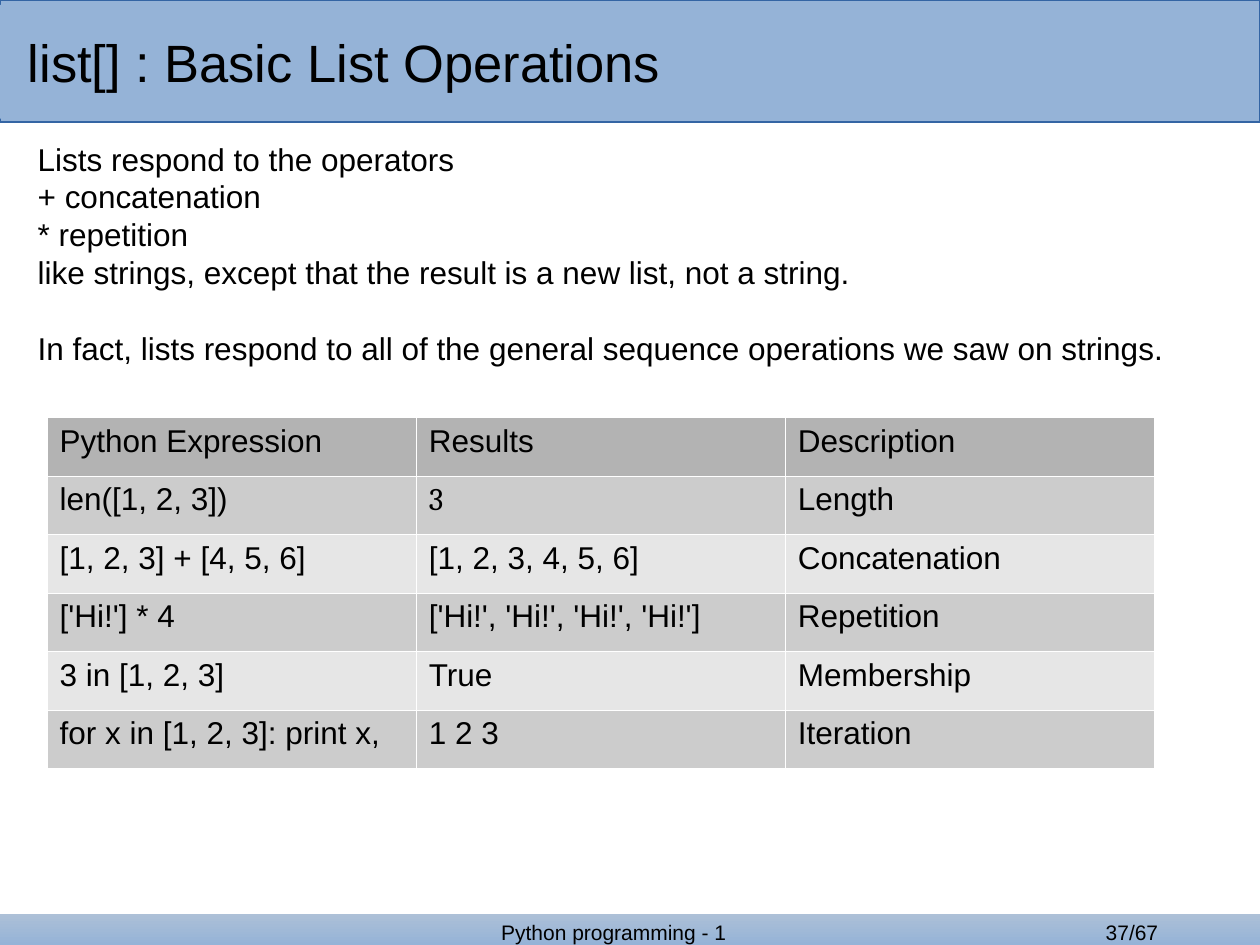
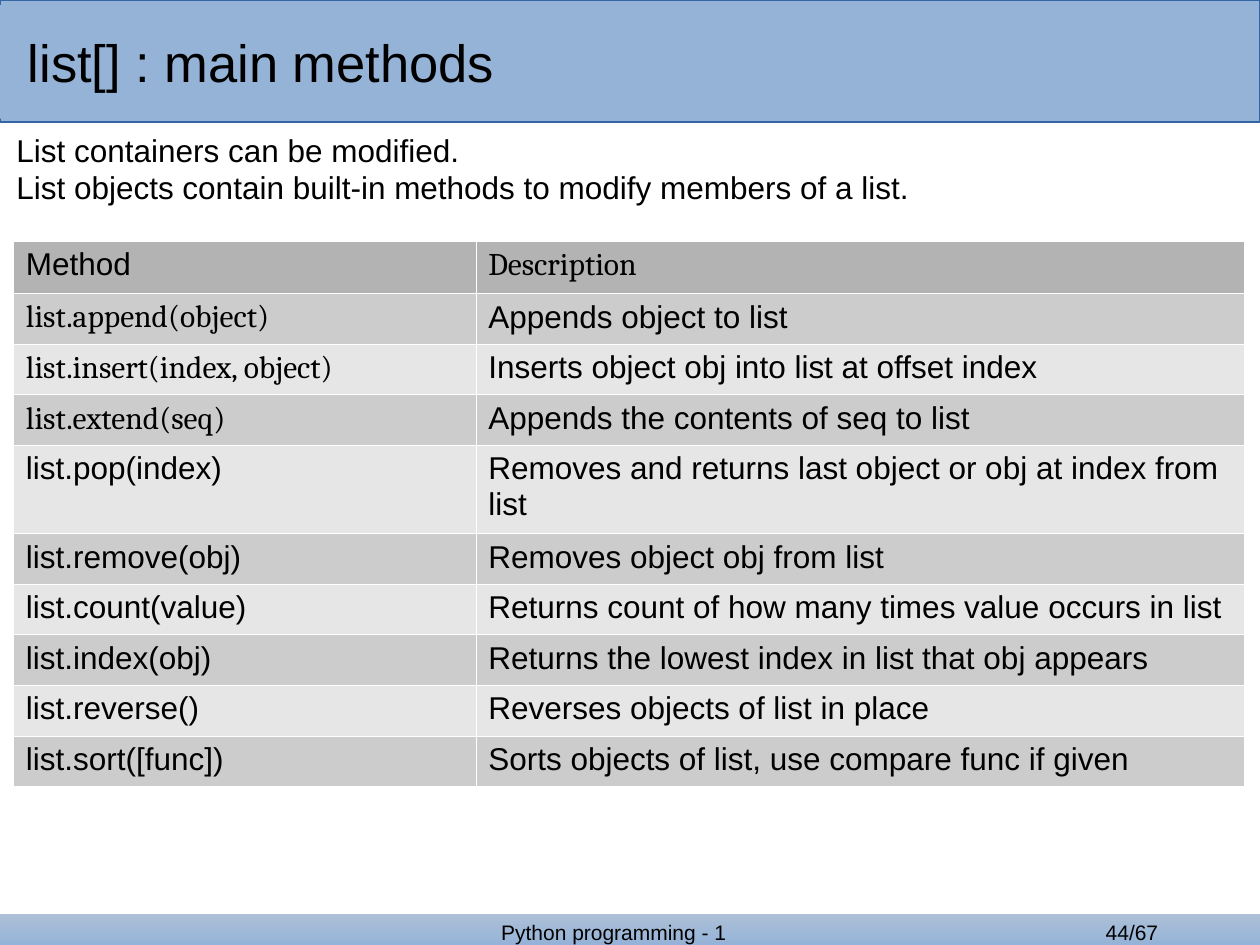
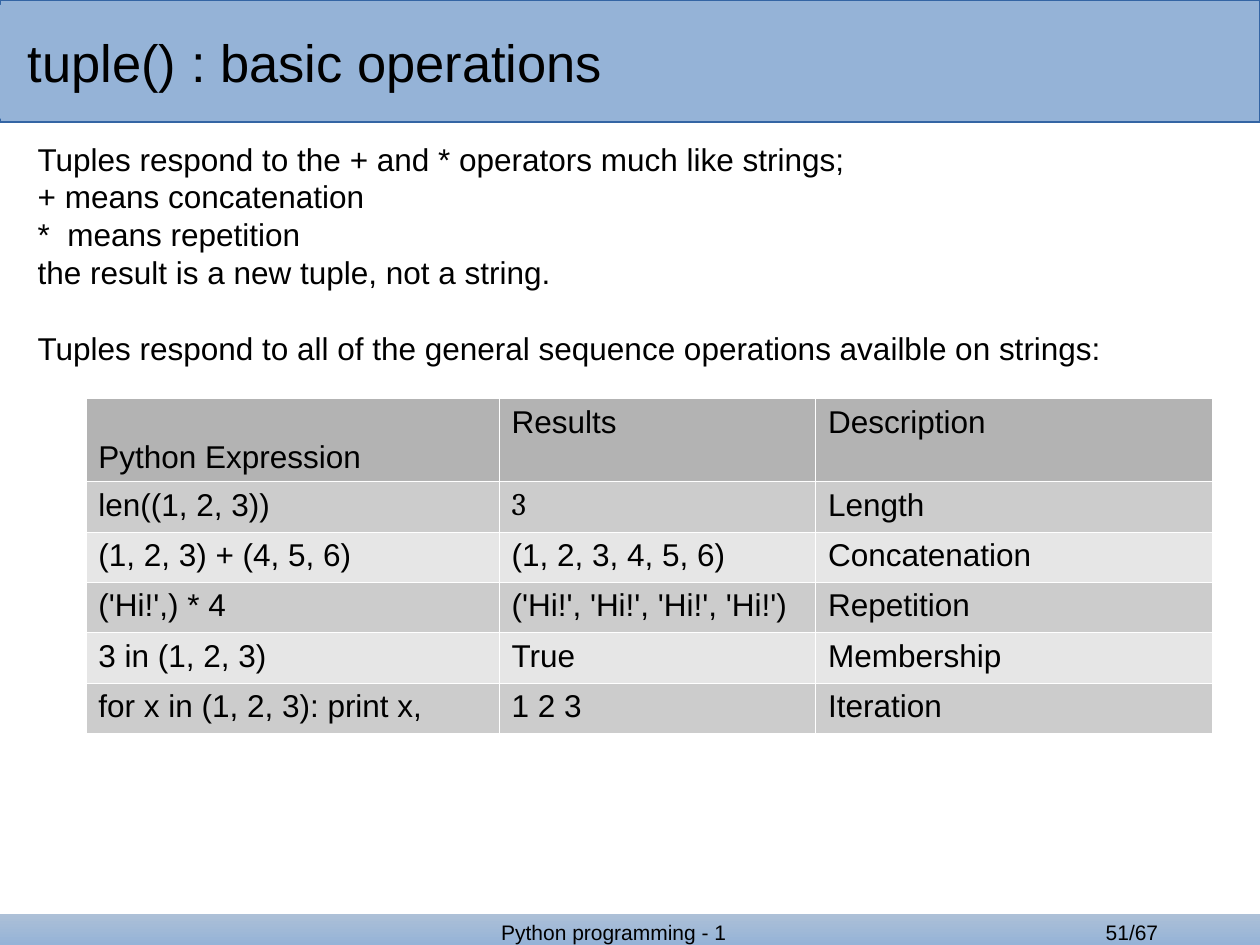
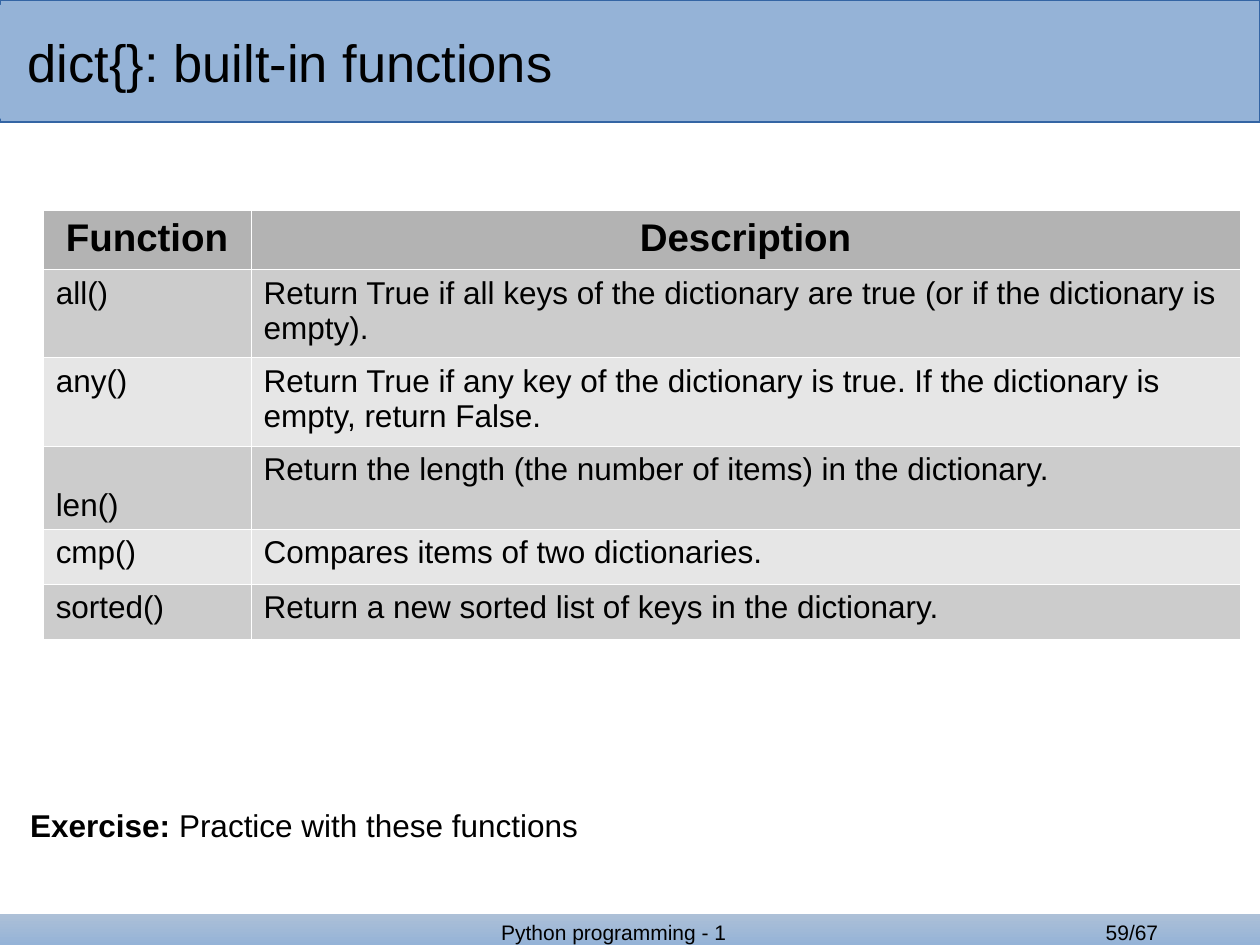
from dataclasses import dataclass

from lxml.etree import SubElement
from pptx import Presentation
from pptx.dml.color import RGBColor
from pptx.enum.shapes import MSO_SHAPE as Preset
from pptx.enum.text import MSO_ANCHOR as Anchor, MSO_AUTO_SIZE as AutoSize, PP_ALIGN as Align
from pptx.oxml.ns import qn
from pptx.util import Cm, Pt

BAND_BLUE = RGBColor(0x95, 0xB3, 0xD7)
BAND_LIGHT = RGBColor(0xAD, 0xC0, 0xD7)
BAND_EDGE = RGBColor(0x34, 0x65, 0xA4)
BLACK = RGBColor(0, 0, 0)
HEADER_GREY = RGBColor(0xB3, 0xB3, 0xB3)
ROW_GREYS = (RGBColor(0xE6, 0xE6, 0xE6), RGBColor(0xCC, 0xCC, 0xCC))
BORDER = "FFFFFF"

SANS, SERIF = "Arial", "Cambria"
SLIDE_WIDTH, SLIDE_HEIGHT = 25.4, 19.05
FOOTER_TOP, FOOTER_HEIGHT = 18.42, 0.63
LINE_HEIGHT = 21.6
PAGE_COUNT = 67


@dataclass(frozen=True)
class Box:
    """Left, top, width and height in centimetres."""
    left: float
    top: float
    width: float
    height: float

    def lengths(self) -> tuple:
        return Cm(self.left), Cm(self.top), Cm(self.width), Cm(self.height)


@dataclass(frozen=True)
class Line:
    text: str
    bold_lead: str = ""
    gap_before: bool = False


@dataclass(frozen=True)
class Grid:
    """A table; serif and low name (row, column) cells set in serif or at the bottom."""
    left: float
    top: float
    columns: tuple
    row_heights: tuple
    rows: tuple
    serif: tuple = ()
    low: tuple = ()
    strong_header: bool = False


@dataclass(frozen=True)
class Page:
    number: int
    title: str
    body: Box
    lines: tuple
    grid: Grid


def write(paragraph, text: str, *, size: float = 18, font: str = SANS,
          bold: bool = False, align=Align.LEFT) -> None:
    """Append a formatted run to the paragraph."""
    paragraph.alignment = align
    run = paragraph.add_run()
    run.text = text
    run.font.size = Pt(size)
    run.font.name = font
    run.font.bold = bold
    run.font.color.rgb = BLACK


def add_text_box(slide, box: Box):
    shape = slide.shapes.add_textbox(*box.lengths())
    shape.text_frame.word_wrap = True
    return shape


def add_band(slide, box: Box):
    shape = slide.shapes.add_shape(Preset.RECTANGLE, *box.lengths())
    shape.shadow.inherit = False
    return shape


def add_footer_text(slide, left: float, width: float, text: str):
    shape = add_text_box(slide, Box(left, FOOTER_TOP, width, FOOTER_HEIGHT))
    write(shape.text_frame.paragraphs[0], text, size=12, align=Align.CENTER)
    return shape


def move_bands_to_layout(slide) -> None:
    """Draw the shared bands and footer, then hand them to the slide's layout."""
    header = add_band(slide, Box(0, 0, SLIDE_WIDTH, 2.46))
    header.fill.solid()
    header.fill.fore_color.rgb = BAND_BLUE
    header.line.color.rgb = BAND_EDGE
    header.line.width = Pt(0)

    footer = add_band(slide, Box(0, FOOTER_TOP, SLIDE_WIDTH, FOOTER_HEIGHT))
    footer.fill.gradient()
    footer.fill.gradient_angle = 90
    for stop, color in zip(footer.fill.gradient_stops, (BAND_BLUE, BAND_LIGHT)):
        stop.color.rgb = color
    footer.line.fill.background()

    course = add_footer_text(slide, 8.26, 8.23, "Python programming - 1")
    for shape in (header, footer, course):
        slide.slide_layout.shapes.element.append(shape.element)


def set_title(slide, text: str) -> None:
    title = slide.shapes.title
    title.left, title.top, title.width, title.height = Box(0, 0.1, 21.21, 2.29).lengths()
    title.fill.solid()
    title.fill.fore_color.rgb = BAND_BLUE
    frame = title.text_frame
    frame.auto_size = AutoSize.NONE
    frame.vertical_anchor = Anchor.MIDDLE
    frame.margin_left = Cm(0.56)
    write(frame.paragraphs[0], text, size=30)


def add_body(slide, box: Box, lines: tuple) -> None:
    frame = add_text_box(slide, box).text_frame
    for index, line in enumerate(lines):
        paragraph = frame.add_paragraph() if index else frame.paragraphs[0]
        paragraph.line_spacing = Pt(LINE_HEIGHT)
        if line.gap_before:
            paragraph.space_before = Pt(LINE_HEIGHT)
        if line.bold_lead:
            write(paragraph, line.bold_lead, bold=True)
        write(paragraph, line.text)


def add_borders(cell) -> None:
    properties = cell._tc.get_or_add_tcPr()
    for position, side in enumerate(("lnL", "lnR", "lnT", "lnB")):
        border = SubElement(properties, qn(f"a:{side}"), w="762")
        fill = SubElement(border, qn("a:solidFill"))
        SubElement(fill, qn("a:srgbClr"), val=BORDER)
        properties.insert(position, border)


def add_grid(slide, grid: Grid) -> None:
    box = Box(grid.left, grid.top, sum(grid.columns), sum(grid.row_heights))
    table = slide.shapes.add_table(
        len(grid.rows), len(grid.columns), *box.lengths()).table
    table.first_row = table.horz_banding = False
    for column, width in zip(table.columns, grid.columns):
        column.width = Cm(width)
    for row, height in zip(table.rows, grid.row_heights):
        row.height = Cm(height)

    for row_index, texts in enumerate(grid.rows):
        strong = grid.strong_header and row_index == 0
        for column_index, text in enumerate(texts):
            place = (row_index, column_index)
            cell = table.cell(*place)
            cell.fill.solid()
            cell.fill.fore_color.rgb = ROW_GREYS[row_index % 2] if row_index else HEADER_GREY
            cell.vertical_anchor = Anchor.BOTTOM if place in grid.low else Anchor.TOP
            add_borders(cell)
            write(cell.text_frame.paragraphs[0], text,
                  size=22 if strong else 18, bold=strong,
                  font=SERIF if place in grid.serif else SANS,
                  align=Align.CENTER if strong else Align.LEFT)


PAGES = (
    Page(
        37, "list[] : Basic List Operations", Box(0.51, 2.69, 24.99, 15.44),
        (
            Line("Lists respond to the operators"),
            Line("+ concatenation"),
            Line("* repetition"),
            Line("like strings, except that the result is a new list, not a string."),
            Line("In fact, lists respond to all of the general sequence operations "
                 "we saw on strings.", gap_before=True),
        ),
        Grid(
            0.95, 8.41, (7.44,) * 3, (1.18,) * 6,
            (
                ("Python Expression", "Results", "Description"),
                ("len([1, 2, 3])", "3", "Length"),
                ("[1, 2, 3] + [4, 5, 6]", "[1, 2, 3, 4, 5, 6]", "Concatenation"),
                ("['Hi!'] * 4", "['Hi!', 'Hi!', 'Hi!', 'Hi!']", "Repetition"),
                ("3 in [1, 2, 3]", "True", "Membership"),
                ("for x in [1, 2, 3]: print x,", "1 2 3", "Iteration"),
            ),
            serif=((1, 1),),
        ),
    ),
    Page(
        44, "list[] : main methods", Box(0.08, 2.51, 24.99, 15.44),
        (
            Line("List containers can be modified."),
            Line("List objects contain built-in methods to modify members of a list."),
        ),
        Grid(
            0.27, 4.85, (9.32, 15.49), (1.06,) + (1.02,) * 3 + (1.78,) + (1.02,) * 5,
            (
                ("Method", "Description"),
                ("list.append(object)", "Appends object to list"),
                ("list.insert(index, object)", "Inserts object obj into list at offset index"),
                ("list.extend(seq)", "Appends the contents of seq to list"),
                ("list.pop(index)", "Removes and returns last object or obj at index from list"),
                ("list.remove(obj)", "Removes object obj from list"),
                ("list.count(value)", "Returns count of how many times value occurs in list"),
                ("list.index(obj)", "Returns the lowest index in list that obj appears"),
                ("list.reverse()", "Reverses objects of list in place"),
                ("list.sort([func])", "Sorts objects of list, use compare func if given"),
            ),
            serif=((0, 1), (1, 0), (2, 0), (3, 0)),
        ),
    ),
    Page(
        51, "tuple() : basic operations", Box(0.51, 2.69, 24.99, 15.44),
        (
            Line("Tuples respond to the + and * operators much like strings;"),
            Line("+ means concatenation"),
            Line("*  means repetition"),
            Line("the result is a new tuple, not a string."),
            Line("Tuples respond to all of the general sequence operations "
                 "availble on strings:", gap_before=True),
        ),
        Grid(
            1.73, 8.03, (8.33, 6.38, 8), (1.67,) + (0.97,) * 5,
            (
                ("Python Expression", "Results", "Description"),
                ("len((1, 2, 3))", "3", "Length"),
                ("(1, 2, 3) + (4, 5, 6)", "(1, 2, 3, 4, 5, 6)", "Concatenation"),
                ("('Hi!',) * 4", "('Hi!', 'Hi!', 'Hi!', 'Hi!')", "Repetition"),
                ("3 in (1, 2, 3)", "True", "Membership"),
                ("for x in (1, 2, 3): print x,", "1 2 3", "Iteration"),
            ),
            serif=((1, 1),),
            low=((0, 0),),
        ),
    ),
    Page(
        59, "dict{}: built-in functions", Box(0.36, 16.13, 24.66, 1.98),
        (Line(" Practice with these functions", bold_lead="Exercise:"),),
        Grid(
            0.87, 4.24, (4.19, 19.94), (1.11,) + (1.68,) * 3 + (1.11,) * 2,
            (
                ("Function", "Description"),
                ("all()", "Return True if all keys of the dictionary are true "
                          "(or if the dictionary is empty)."),
                ("any()", "Return True if any key of the dictionary is true. "
                          "If the dictionary is empty, return False."),
                ("len()", "Return the length (the number of items) in the dictionary."),
                ("cmp()", "Compares items of two dictionaries."),
                ("sorted()", "Return a new sorted list of keys in the dictionary."),
            ),
            low=((3, 0),),
            strong_header=True,
        ),
    ),
)


def main() -> None:
    presentation = Presentation()
    presentation.slide_width, presentation.slide_height = Cm(SLIDE_WIDTH), Cm(SLIDE_HEIGHT)
    title_only = presentation.slide_layouts[5]
    for index, page in enumerate(PAGES):
        slide = presentation.slides.add_slide(title_only)
        if index == 0:
            move_bands_to_layout(slide)
        set_title(slide, page.title)
        add_body(slide, page.body, page.lines)
        add_grid(slide, page.grid)
        add_footer_text(slide, 20.24, 5.16, f"{page.number}/{PAGE_COUNT}")
    presentation.save("out.pptx")


if __name__ == "__main__":
    main()
